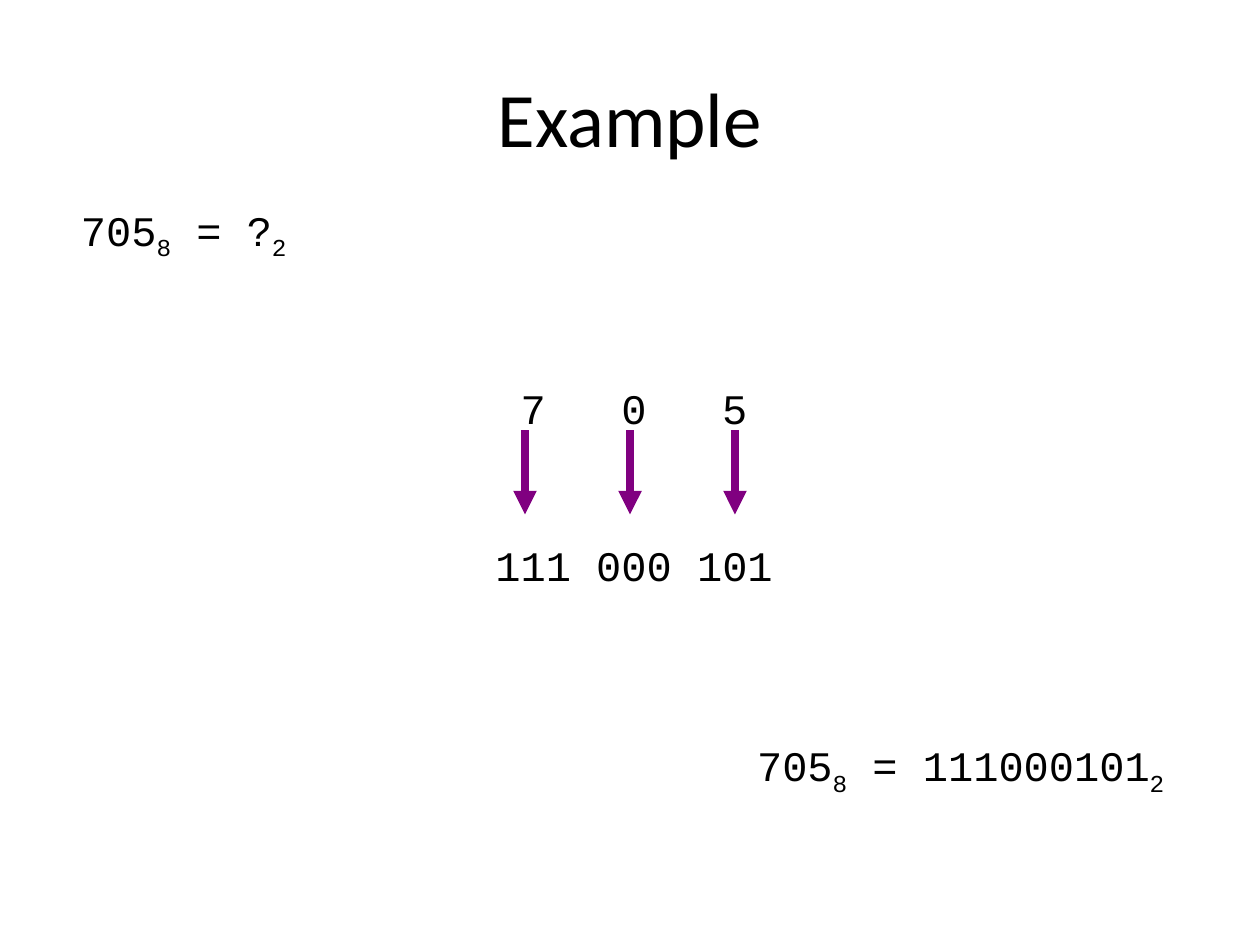
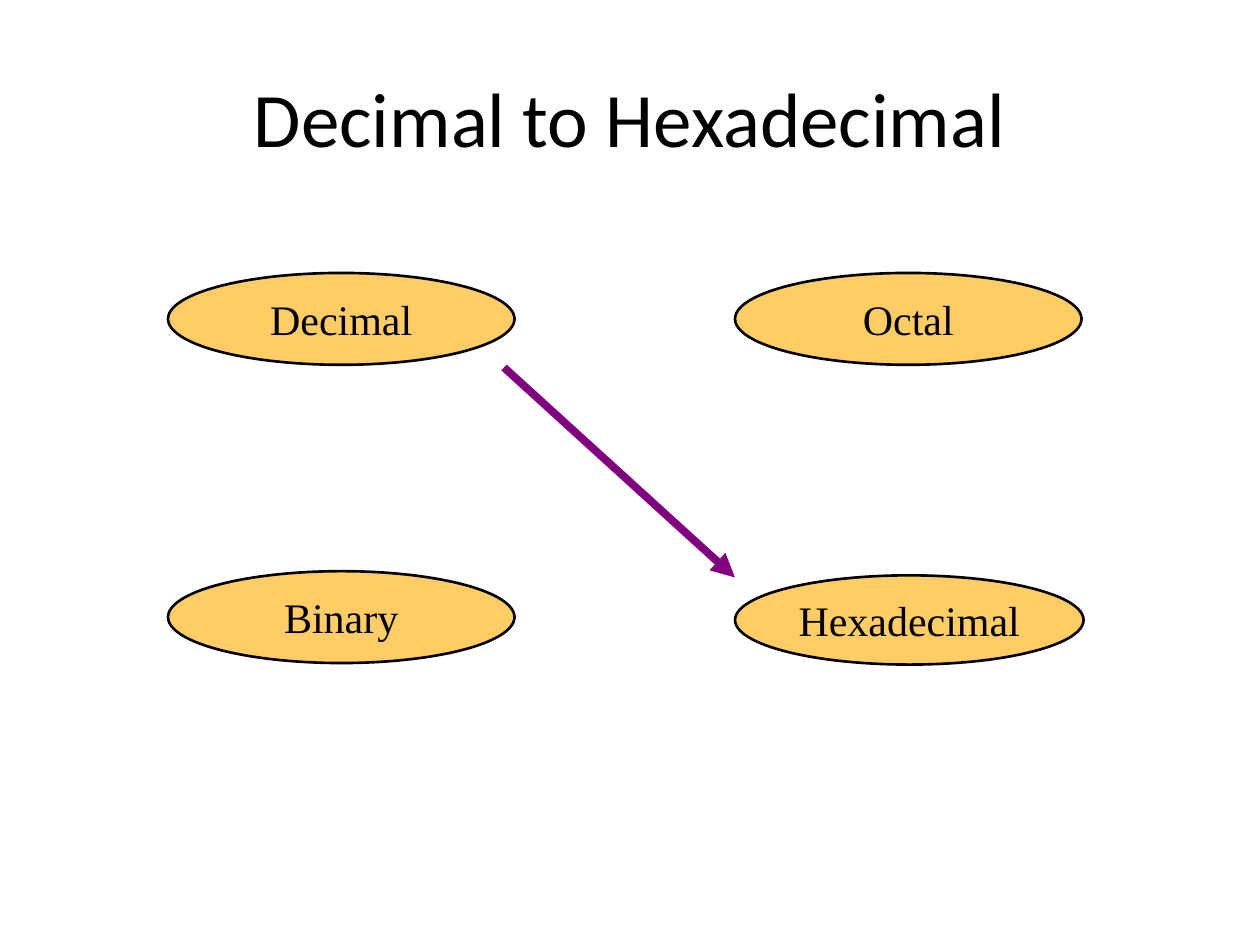
from typing import NamedTuple

from lxml import etree
from pptx import Presentation
from pptx.dml.color import RGBColor
from pptx.enum.shapes import MSO_CONNECTOR, MSO_SHAPE
from pptx.enum.text import MSO_ANCHOR, PP_ALIGN
from pptx.oxml.ns import qn
from pptx.util import Inches, Pt

LEFT, CENTER = PP_ALIGN.LEFT, PP_ALIGN.CENTER
TOP, MIDDLE = MSO_ANCHOR.TOP, MSO_ANCHOR.MIDDLE
STRAIGHT, OVAL = MSO_CONNECTOR.STRAIGHT, MSO_SHAPE.OVAL

BLACK, PURPLE, AMBER = "000000", "800080", "FFCC66"
TITLE_FONT, CODE_FONT, NODE_FONT = "Calibri", "Courier New", "Times New Roman"

# The slide is a grid of 120 columns by 90 rows of equal square cells.
COLS, ROWS = 120, 90
CELL = Inches(10) // COLS


class Box(NamedTuple):
    col: float
    row: float
    cols: float
    rows: float


class Arrow(NamedTuple):
    col1: float
    row1: float
    col2: float
    row2: float


class Node(NamedTuple):
    label: str
    box: Box


class Piece(NamedTuple):
    text: str
    subscript: bool = False


TITLE = Box(6, 3.6, 108, 15)
QUESTION = Box(4, 18, 27, 6.75)
DIGIT_TABLE = Box(46, 35, 35, 20.6)
ANSWER = Box(68, 69, 47, 6.75)

DIGITS = ["7", "0", "5"]
BITS = ["111", "000", "101"]
DIGIT_ARROWS = [Arrow(col, 41, col, 49) for col in (50, 60, 70)]
FIRST_TAB, TAB_STEP = 0.3, 0.8  # inches; a group is three characters and a space

NODES = [
    Node("Decimal", Box(16, 26, 33, 8.75)),
    Node("Octal", Box(70, 26, 33, 8.75)),
    Node("Binary", Box(16, 54.4, 33, 8.75)),
    Node("Hexadecimal", Box(70, 54.8, 33.2, 8.5)),
]
CONVERSION = Arrow(48, 35, 70, 55)


def rgb(color: str) -> RGBColor:
    return RGBColor.from_string(color)


def cells(values) -> list[int]:
    return [round(v * CELL) for v in values]


def write(tf, paragraphs, *, font, size=24, color=BLACK, align=LEFT,
          anchor=TOP, wrap=True, top=0.05, gap=0) -> None:
    """Fill a text frame; each paragraph is a list of pieces."""
    tf.word_wrap, tf.vertical_anchor = wrap, anchor
    tf.margin_top = Inches(top)
    for i, pieces in enumerate(paragraphs):
        p = tf.add_paragraph() if i else tf.paragraphs[0]
        p.alignment = align
        if i:
            p.space_before = Pt(gap)
        for piece in pieces:
            r = p.add_run()
            r.text = piece.text
            r.font.name, r.font.size = font, Pt(size)
            r.font.color.rgb = rgb(color)
            if piece.subscript:
                r.font._element.set("baseline", "-25000")


def add_text(s, box: Box, paragraphs, **fmt):
    tf = s.shapes.add_textbox(*cells(box)).text_frame
    write(tf, paragraphs, **fmt)
    return tf


def add_arrow(s, arrow: Arrow) -> None:
    line = s.shapes.add_connector(STRAIGHT, *cells(arrow))
    line.line.color.rgb, line.line.width = rgb(PURPLE), Pt(4.5)
    etree.SubElement(line.line._get_or_add_ln(), qn("a:tailEnd"), type="triangle")
    etree.SubElement(line._element.spPr, qn("a:effectLst"))


def add_node(s, node: Node) -> None:
    sp = s.shapes.add_shape(OVAL, *cells(node.box))
    sp.shadow.inherit = False
    sp.fill.solid()
    sp.fill.fore_color.rgb = rgb(AMBER)
    sp.line.color.rgb, sp.line.width = rgb(BLACK), Pt(1.5)
    write(sp.text_frame, [[Piece(node.label)]], font=NODE_FONT,
          align=CENTER, anchor=MIDDLE, wrap=False)


def add_equation(s, box: Box, right_side: str) -> None:
    pieces = [Piece("705"), Piece("8", True), Piece(f" = {right_side}"), Piece("2", True)]
    add_text(s, box, [pieces], font=CODE_FONT, align=CENTER, top=0.12)


def add_digit_table(s) -> None:
    """Octal digits, each centred over its group of three bits."""
    rows = [[Piece("".join(f"\t{d}" for d in DIGITS))], [Piece(" ".join(BITS))]]
    tf = add_text(s, DIGIT_TABLE, rows, font=CODE_FONT, top=0.12, gap=61)
    tabs = etree.SubElement(tf.paragraphs[0]._p.get_or_add_pPr(), qn("a:tabLst"))
    for i in range(len(DIGITS)):
        pos = Inches(FIRST_TAB + i * TAB_STEP)
        etree.SubElement(tabs, qn("a:tab"), pos=str(pos), algn="ctr")


def add_slide(prs, title: str):
    s = prs.slides.add_slide(prs.slide_layouts[6])
    add_text(s, TITLE, [[Piece(title)]], font=TITLE_FONT, size=44,
             align=CENTER, anchor=MIDDLE)
    return s


def build_example(prs) -> None:
    s = add_slide(prs, "Example")
    add_equation(s, QUESTION, "?")
    add_digit_table(s)
    for arrow in DIGIT_ARROWS:
        add_arrow(s, arrow)
    add_equation(s, ANSWER, "".join(BITS))


def build_conversion(prs) -> None:
    s = add_slide(prs, "Decimal to Hexadecimal")
    for node in NODES:
        add_node(s, node)
    add_arrow(s, CONVERSION)


def main() -> None:
    prs = Presentation()
    prs.slide_width, prs.slide_height = COLS * CELL, ROWS * CELL
    build_example(prs)
    build_conversion(prs)
    prs.save("out.pptx")


if __name__ == "__main__":
    main()
